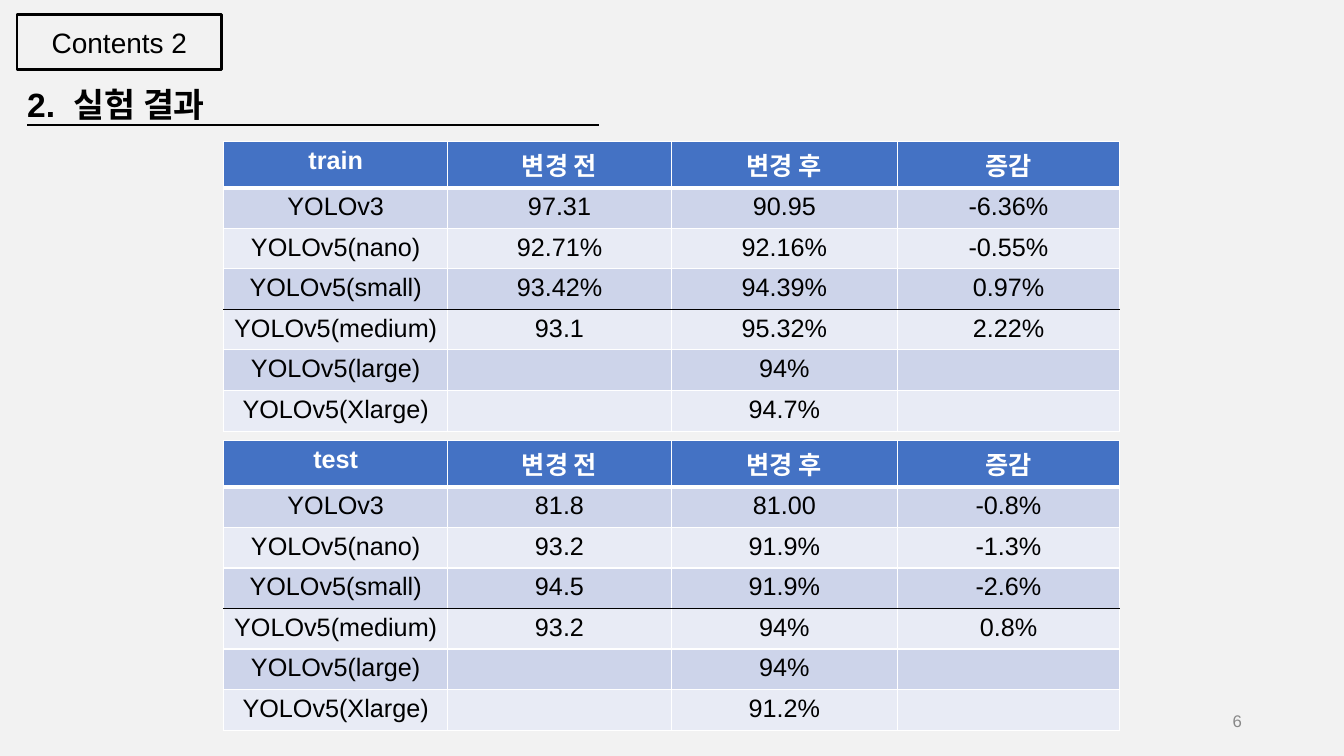
from lxml import etree
from pptx import Presentation
from pptx import util as u
from pptx.dml.color import RGBColor
from pptx.enum import shapes, text
from pptx.oxml import ns

BLACK, WHITE, GREY = "000000", "FFFFFF", "888888"
HEADER, BANDS = "4472C4", ("CDD4EA", "E8EBF5")
LAST_SMALL_ROW = 3
COLUMNS = (5.64, 5.64, 5.69, 5.61)
HEADINGS = ("변경 전", "변경 후", "증감")
MODELS = ("YOLOv3", "YOLOv5(nano)", "YOLOv5(small)", "YOLOv5(medium)",
          "YOLOv5(large)", "YOLOv5(Xlarge)")
TRAIN = (("97.31", "90.95", "-6.36%"), ("92.71%", "92.16%", "-0.55%"),
         ("93.42%", "94.39%", "0.97%"), ("93.1", "95.32%", "2.22%"),
         ("", "94%", ""), ("", "94.7%", ""))
TEST = (("81.8", "81.00", "-0.8%"), ("93.2", "91.9%", "-1.3%"),
        ("94.5", "91.9%", "-2.6%"), ("93.2", "94%", "0.8%"),
        ("", "94%", ""), ("", "91.2%", ""))


def rgb(value):
    return RGBColor.from_string(value)


def set_all(target, values):
    for name, value in values.items():
        setattr(target, name, value)


def write(tf, content, size, color=BLACK, bold=False, align="LEFT"):
    p = tf.paragraphs[0]
    p.alignment = getattr(text.PP_ALIGN, align)
    r = p.add_run()
    r.text = content
    set_all(r.font, {"name": "Arial", "size": u.Pt(size), "bold": bold})
    r.font.color.rgb = rgb(color)
    return r


def add_border(tc_pr, index, side, color, width):
    ln = etree.Element(ns.qn("a:ln" + side), w=str(u.Pt(width)))
    fill = etree.SubElement(ln, ns.qn("a:solidFill"))
    etree.SubElement(fill, ns.qn("a:srgbClr"), val=color)
    tc_pr.insert(index, ln)


def add_section_tag(s, left, top, width, height):
    sp = s.shapes.add_shape(shapes.MSO_SHAPE.RECTANGLE, u.Cm(left), u.Cm(top),
                            u.Cm(width), u.Cm(height))
    sp.shadow.inherit = False
    sp.fill.background()
    sp.line.color.rgb = rgb(BLACK)
    sp.line.width = u.Pt(2)
    sp.text_frame.vertical_anchor = text.MSO_ANCHOR.MIDDLE
    write(sp.text_frame, "Contents 2", 20, align="CENTER")


def add_heading(s, left, top, width, height):
    title = s.shapes.title
    set_all(title, {"left": u.Cm(left), "top": u.Cm(top),
                    "width": u.Cm(width), "height": u.Cm(height)})
    tf = title.text_frame
    set_all(tf, {"word_wrap": True, "vertical_anchor": text.MSO_ANCHOR.TOP,
                 "auto_size": text.MSO_AUTO_SIZE.NONE})
    set_all(tf.paragraphs[0], {"line_spacing": 1.3, "space_before": u.Pt(0)})
    write(tf, "2.", 24, bold=True)
    gap = write(tf, " ", 24, bold=True)
    gap.font._element.set("spc", "650")
    write(tf, "실험 결과", 24, bold=True)

    y = u.Cm(top + height - 0.05)
    rule = s.shapes.add_connector(shapes.MSO_CONNECTOR.STRAIGHT,
                                  u.Cm(left + 0.26), y, u.Cm(left + 14.66), y)
    rule.line.color.rgb = rgb(BLACK)
    rule.line.width = u.Pt(1.25)
    etree.SubElement(rule._element.spPr, ns.qn("a:effectLst"))


def add_results(s, name, results, left, top, row_height):
    rows = [(name, *HEADINGS)]
    rows += [(model, *values) for model, values in zip(MODELS, results)]
    table = s.shapes.add_table(len(rows), len(COLUMNS), u.Cm(left), u.Cm(top),
                               u.Cm(sum(COLUMNS)),
                               u.Cm(row_height * len(rows))).table
    for column, width in zip(table.columns, COLUMNS):
        column.width = u.Cm(width)
    for i, row in enumerate(rows):
        table.rows[i].height = u.Cm(row_height)
        head = i == 0
        above = BLACK if i == LAST_SMALL_ROW + 1 else WHITE
        below = BLACK if i == LAST_SMALL_ROW else WHITE
        borders = (("L", WHITE, 1), ("R", WHITE, 1),
                   ("T", above, 3 if i == 1 else 1),
                   ("B", below, 3 if head else 1))
        for j, content in enumerate(row):
            cell = table.cell(i, j)
            cell.fill.solid()
            cell.fill.fore_color.rgb = rgb(HEADER if head else BANDS[(i - 1) % 2])
            tc_pr = cell._tc.get_or_add_tcPr()
            for index, border in enumerate(borders):
                add_border(tc_pr, index, *border)
            if content:
                write(cell.text_frame, content, 18, WHITE if head else BLACK,
                      head, "CENTER")


def add_page_number(s, left, top, width, height):
    sp = s.shapes.add_textbox(u.Cm(left), u.Cm(top), u.Cm(width), u.Cm(height))
    set_all(sp.text_frame, {"word_wrap": True,
                            "vertical_anchor": text.MSO_ANCHOR.MIDDLE})
    write(sp.text_frame, "6", 12, GREY, align="RIGHT")


prs = Presentation()
set_all(prs, {"slide_width": u.Cm(33.87), "slide_height": u.Cm(19.05)})
s = prs.slides.add_slide(prs.slide_layouts[5])
s.background.fill.solid()
s.background.fill.fore_color.rgb = rgb("F2F2F2")
add_section_tag(s, 0.43, 0.36, 5.16, 1.4)
add_heading(s, 0.43, 1.68, 23.62, 1.52)
add_results(s, "train", TRAIN, 5.64, 3.56, 1.02)
add_results(s, "test", TEST, 5.64, 11.1, 1.02)
add_page_number(s, 23.93, 17.65, 7.62, 1.02)
prs.save("out.pptx")
